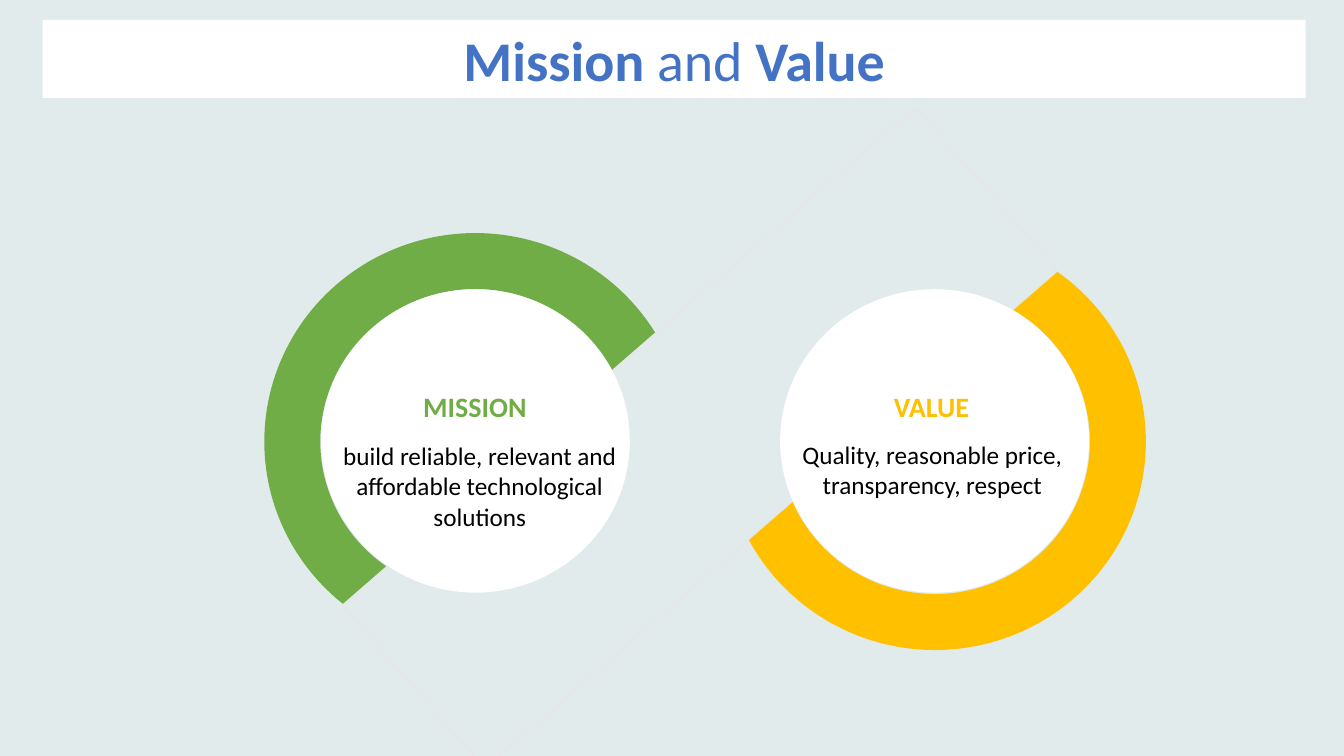
import pptx
import pptx.util
import pptx.dml.color
import pptx.enum.shapes
import pptx.enum.text

Pt = pptx.util.Pt
SHAPES = pptx.enum.shapes.MSO_SHAPE
CENTER = pptx.enum.text.PP_ALIGN.CENTER

COLORS = {
    "background": "E2EBEC",
    "band_edge": "E7E6E6",
    "white": "FFFFFF",
    "mission": "70AD47",
    "value": "FFC000",
    "title": "4472C4",
    "body": "000000",
}


def rgb(name):
    return pptx.dml.color.RGBColor.from_string(COLORS[name])


def add_figure(slide, kind, box, fill=None, line=None, line_width=1):
    figure = slide.shapes.add_shape(kind, *map(Pt, box))
    figure.shadow.inherit = False
    if fill:
        figure.fill.solid()
        figure.fill.fore_color.rgb = rgb(fill)
    else:
        figure.fill.background()
    if line:
        figure.line.color.rgb = rgb(line)
        figure.line.width = Pt(line_width)
    else:
        figure.line.fill.background()
    return figure


def style_paragraph(paragraph, size, color, bold=None, align=None):
    paragraph.alignment = align
    paragraph.font.name = "Calibri"
    paragraph.font.size = Pt(size)
    paragraph.font.color.rgb = rgb(color)
    paragraph.font.bold = bold


def add_label(slide, text, box, size, color, bold=None, align=None, wrap=True):
    frame = slide.shapes.add_textbox(*map(Pt, box)).text_frame
    frame.word_wrap = wrap
    frame.text = text
    style_paragraph(frame.paragraphs[0], size, color, bold, align)


def add_title(slide, parts):
    """Add the white title bar; parts are (text, bold) pairs."""
    bar = add_figure(slide, SHAPES.RECTANGLE, (30.4, 14.2, 902.3, 55.7), "white")
    paragraph = bar.text_frame.paragraphs[0]
    style_paragraph(paragraph, 40, "title", align=CENTER)
    for text, bold in parts:
        run = paragraph.add_run()
        run.text = text
        run.font.bold = bold


def main():
    deck = pptx.Presentation()
    deck.slide_width, deck.slide_height = Pt(960), Pt(540)
    slide = deck.slides.add_slide(deck.slide_layouts[6])
    slide.background.fill.solid()
    slide.background.fill.fore_color.rgb = rgb("background")

    for ring_left, color in ((208.8, "mission"), (537.1, "value")):
        add_figure(slide, SHAPES.FLOWCHART_CONNECTOR,
                   (ring_left, 186.5, 261.4, 257.8), line=color, line_width=40)

    # The tilted band hides the inner part of both rings
    band = add_figure(slide, SHAPES.RECTANGLE, (229, 235.4, 542.2, 154.8),
                      "background", "band_edge")
    band.rotation = 319

    for disc_left in (557.3, 229.3):
        add_figure(slide, SHAPES.FLOWCHART_CONNECTOR,
                   (disc_left, 206.6, 220.6, 216.7), "white")

    add_label(slide, "MISSION", (295.2, 275, 90, 31.5), 20, "mission", True, wrap=False)
    add_label(slide, "VALUE", (631.4, 275, 75.6, 31.5), 20, "value", True, wrap=False)
    add_label(slide, "build reliable, relevant and affordable technological solutions",
              (231.1, 311, 223.2, 72.7), 18, "body", align=CENTER)
    add_label(slide, "Quality, reasonable price, transparency, respect",
              (554.4, 310.3, 223.2, 51), 18, "body", align=CENTER)

    add_title(slide, [("Mission ", True), ("and", False), (" Value", True)])
    deck.save("out.pptx")


if __name__ == "__main__":
    main()
